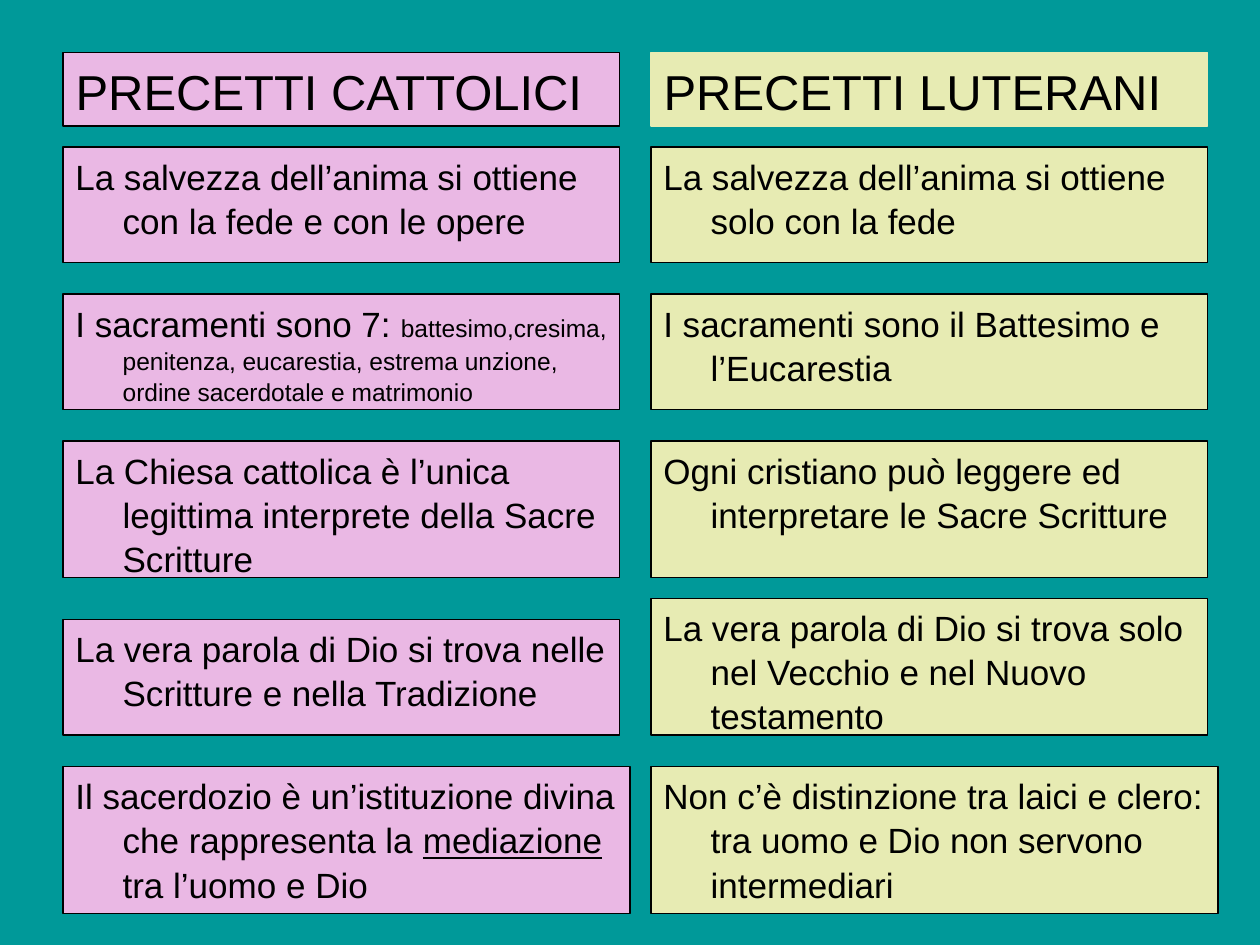
import pptx
import pptx.dml.color
import pptx.enum.shapes
import pptx.enum.text
import pptx.util

Pt = pptx.util.Pt

COLUMN_WIDTH = 318
LAST_ROW_WIDTH = 324
HEADING_TOP, HEADING_HEIGHT = 30, 42

# heading placeholder, left, fill, line, heading, then rows of (top, height, runs)
CATHOLIC = {
    "placeholder": 1, "left": 36, "fill": "EAB8E4", "line": "000000",
    "heading": "PRECETTI CATTOLICI",
    "precepts": [
        (84, 66, [("La salvezza dell’anima si ottiene con la fede e con le opere", 20, False)]),
        (168, 66, [("I sacramenti sono 7: ", 20, False),
                   ("battesimo,cresima, penitenza, eucarestia, estrema unzione, "
                    "ordine sacerdotale e matrimonio", 14, False)]),
        (252, 78, [("La Chiesa cattolica è l’unica legittima interprete della Sacre Scritture",
                    20, False)]),
        (354, 66, [("La vera parola di Dio si trova nelle Scritture e nella Tradizione",
                    20, False)]),
        (438, 84, [("Il sacerdozio è un’istituzione divina che rappresenta la ", 20, False),
                   ("mediazione", 20, True),
                   (" tra l’uomo e Dio", 20, False)]),
    ],
}
LUTHERAN = {
    "placeholder": 3, "left": 372, "fill": "E7EBB3", "line": "E7EBB3",
    "heading": "PRECETTI LUTERANI",
    "precepts": [
        (84, 66, [("La salvezza dell’anima si ottiene solo con la fede", 20, False)]),
        (168, 66, [("I sacramenti sono il Battesimo e l’Eucarestia", 20, False)]),
        (252, 78, [("Ogni cristiano può leggere ed interpretare le Sacre Scritture", 20, False)]),
        (342, 78, [("La vera parola di Dio si trova solo nel Vecchio e nel Nuovo testamento",
                    20, False)]),
        (438, 84, [("Non c’è distinzione tra laici e clero: tra uomo e Dio non servono intermediari",
                    20, False)]),
    ],
}


def color(value):
    """Return the colour for a hex string."""
    return pptx.dml.color.RGBColor.from_string(value)


def paint(panel, fill, line):
    """Give a panel its solid fill and thin outline."""
    panel.fill.solid()
    panel.fill.fore_color.rgb = color(fill)
    panel.line.color.rgb = color(line)
    panel.line.width = Pt(0.75)


def write(panel, runs):
    """Write runs of (text, size, underline) as one hanging paragraph."""
    frame = panel.text_frame
    frame.word_wrap = True
    frame.auto_size = pptx.enum.text.MSO_AUTO_SIZE.NONE
    frame.vertical_anchor = pptx.enum.text.MSO_ANCHOR.TOP
    frame.margin_left = frame.margin_right = Pt(7.2)
    frame.margin_top = frame.margin_bottom = Pt(3.6)
    paragraph = frame.paragraphs[0]
    paragraph.alignment = pptx.enum.text.PP_ALIGN.LEFT
    paragraph.space_before = Pt(0)
    paragraph.line_spacing = 1.05
    properties = paragraph._p.get_or_add_pPr()
    properties.set("marL", str(Pt(27)))
    properties.set("indent", str(Pt(-27)))
    for text, size, underline in runs:
        run = paragraph.add_run()
        run.text = text
        run.font.name = "Arial"
        run.font.size = Pt(size)
        run.font.bold = False
        run.font.underline = underline
        run.font.color.rgb = color("000000")


def add_heading(slide, column):
    """Place a column heading in its body placeholder."""
    heading = next(holder for holder in slide.placeholders
                   if holder.placeholder_format.idx == column["placeholder"])
    heading.left, heading.top = Pt(column["left"]), Pt(HEADING_TOP)
    heading.width, heading.height = Pt(COLUMN_WIDTH), Pt(HEADING_HEIGHT)
    paint(heading, column["fill"], column["line"])
    write(heading, [(column["heading"], 28, False)])


def add_precept(slide, column, width, precept):
    """Add one precept panel to a column."""
    top, height, runs = precept
    panel = slide.shapes.add_shape(
        pptx.enum.shapes.MSO_SHAPE.RECTANGLE,
        Pt(column["left"]), Pt(top), Pt(width), Pt(height))
    panel.shadow.inherit = False
    paint(panel, column["fill"], "000000")
    write(panel, runs)


def remove_empty_placeholders(slide):
    """Remove the placeholders that hold no text."""
    for holder in list(slide.placeholders):
        if not holder.text_frame.text:
            holder._element.getparent().remove(holder._element)


def main():
    """Build the comparison slide and save it."""
    deck = pptx.Presentation()
    deck.slide_width, deck.slide_height = Pt(720), Pt(540)
    slide = deck.slides.add_slide(deck.slide_layouts.get_by_name("Comparison"))
    slide.background.fill.solid()
    slide.background.fill.fore_color.rgb = color("009999")
    for column in (CATHOLIC, LUTHERAN):
        add_heading(slide, column)
        *upper, last = column["precepts"]
        for precept in upper:
            add_precept(slide, column, COLUMN_WIDTH, precept)
        add_precept(slide, column, LAST_ROW_WIDTH, last)
    remove_empty_placeholders(slide)
    deck.save("out.pptx")


if __name__ == "__main__":
    main()
